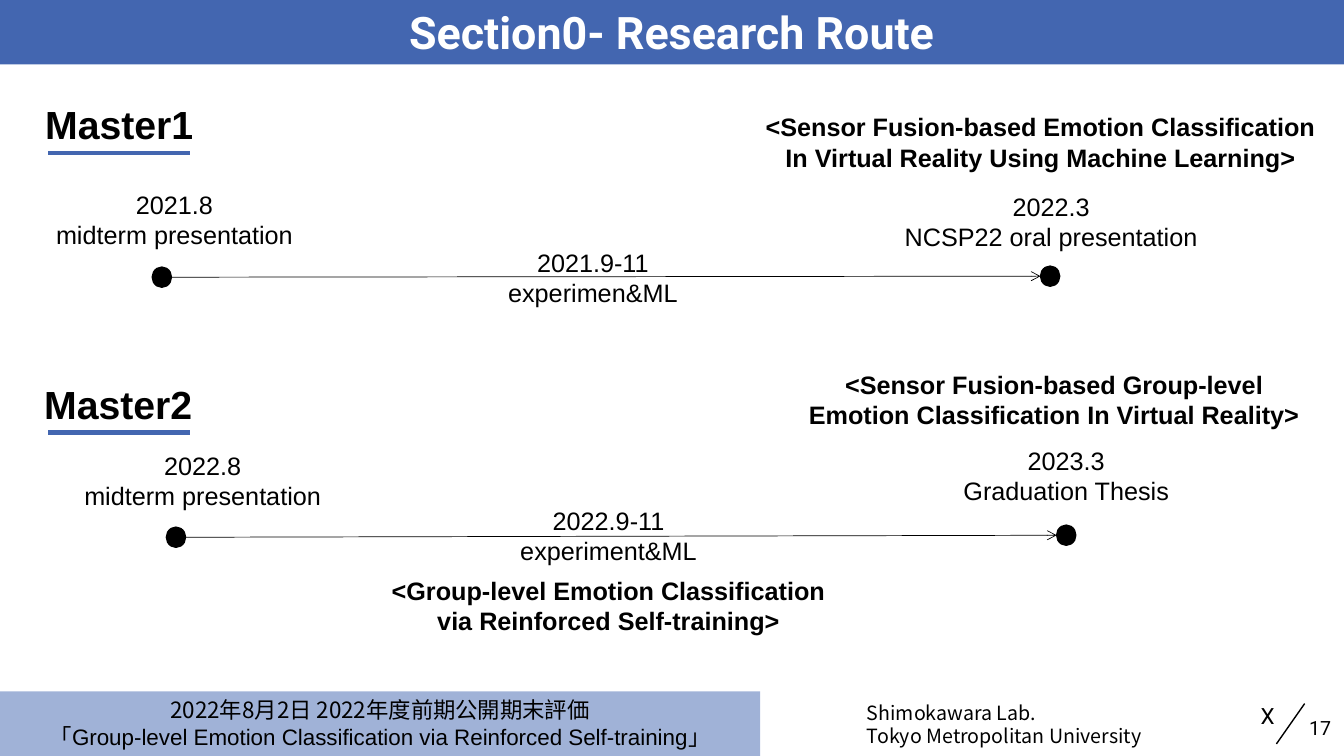
import pptx
import pptx.util
import pptx.dml.color
import pptx.enum.shapes
import pptx.enum.text
import pptx.oxml.ns
import lxml.etree

Inches = pptx.util.Inches
Shape = pptx.enum.shapes.MSO_SHAPE
Align = pptx.enum.text.PP_ALIGN
Anchor = pptx.enum.text.MSO_ANCHOR
qn = pptx.oxml.ns.qn
BLUE, BLACK, WHITE = "4366B0", "000000", "FFFFFF"
NOTO = "Noto Sans CJK JP"


def paint(color, code):
    """Set a color format from a hex string."""
    color.rgb = pptx.dml.color.RGBColor.from_string(code)


def write(frame, lines, size=18, font="Arial", color=BLACK, bold=False,
          align=Align.CENTER, anchor=Anchor.TOP, wrap=True):
    """Fill a text frame; a line is text or a pair of text and font."""
    frame.word_wrap = wrap
    frame.vertical_anchor = anchor
    for i, line in enumerate(lines):
        text, face = (line, font) if isinstance(line, str) else line
        para = frame.paragraphs[0] if i == 0 else frame.add_paragraph()
        para.alignment = align
        run = para.add_run()
        run.text = text
        run.font.size = pptx.util.Pt(size)
        run.font.bold = bold
        run.font.name = face
        paint(run.font.color, color)
        props = run.font._element
        lxml.etree.SubElement(props, qn("a:ea")).set("typeface", NOTO)


def label(slide, box, lines, **style):
    """Add a text box."""
    frame = slide.shapes.add_textbox(*map(Inches, box)).text_frame
    write(frame, lines, **style)


def block(slide, kind, box, color, alpha=None):
    """Add a filled shape without outline."""
    shape = slide.shapes.add_shape(kind, *map(Inches, box))
    shape.shadow.inherit = False
    shape.fill.solid()
    paint(shape.fill.fore_color, color)
    shape.line.fill.background()
    if alpha:
        fill = shape._element.spPr.find(qn("a:solidFill"))
        lxml.etree.SubElement(fill[0], qn("a:alpha")).set("val", str(alpha * 1000))
    return shape


def rule(slide, ends, color, width, arrow=False):
    """Add a straight line, with an arrowhead at its end if asked."""
    line = slide.shapes.add_connector(
        pptx.enum.shapes.MSO_CONNECTOR.STRAIGHT, *map(Inches, ends))
    paint(line.line.color, color)
    line.line.width = pptx.util.Pt(width)
    if arrow:
        tail = lxml.etree.SubElement(line.line._get_or_add_ln(), qn("a:tailEnd"))
        tail.set("type", "arrow")
    lxml.etree.SubElement(line._element.spPr, qn("a:effectLst"))


def dot(slide, left, top):
    """Add a milestone dot."""
    shape = block(slide, Shape.OVAL, (left, top, 0.19, 0.2), BLACK)
    paint(shape.line.color, BLACK)
    shape.line.width = pptx.util.Pt(1)


def head(slide, left, top, text):
    """Add an underlined year heading."""
    label(slide, (left, top, 3.91, 0.57), [text], size=28, bold=True,
          align=Align.LEFT)
    rule(slide, (0.48, top + 0.57, 1.88, top + 0.57), BLUE, 3)


def route(slide, start, end):
    """Add two dots joined by an arrow."""
    dot(slide, *start)
    dot(slide, *end)
    rule(slide, (start[0] + 0.19, start[1] + 0.1, end[0], end[1] + 0.1),
         BLACK, 0.5, arrow=True)


def footer(slide):
    """Add the event band, the lab name and the page number."""
    band = block(slide, Shape.RECTANGLE, (0, 6.86, 7.54, 0.64), BLUE, alpha=50)
    write(band.text_frame, [
        ("2022年8月2日 2022年度前期公開期末評価", NOTO),
        "「Group-level Emotion Classification via Reinforced Self-training」",
    ], size=16)
    label(slide, (8.5, 6.9, 3.41, 0.57),
          ["Shimokawara Lab.", "Tokyo Metropolitan University"],
          size=14, font=NOTO, align=Align.LEFT)
    rule(slide, (12.94, 6.98, 12.66, 7.38), BLACK, 1)
    label(slide, (12.86, 7.05, 0.47, 0.34), ["17"], size=14, font="Roboto")
    label(slide, (12.15, 6.9, 0.59, 0.4), ["X"], size=16, font="Roboto",
          align=Align.RIGHT, anchor=Anchor.MIDDLE)


def main():
    """Build the research route slide."""
    deck = pptx.Presentation()
    deck.slide_width, deck.slide_height = Inches(13.33), Inches(7.5)
    slide = deck.slides.add_slide(deck.slide_layouts[6])
    footer(slide)
    title = block(slide, Shape.RECTANGLE, (0, 0, 13.33, 0.64), BLUE)
    write(title.text_frame, ["Section0- Research Route"], size=32,
          font="Roboto", color=WHITE, bold=True)

    head(slide, 0.35, 0.95, "Master1")
    head(slide, 0.34, 3.72, "Master2")
    route(slide, (1.51, 2.65), (10.32, 2.64))
    route(slide, (1.65, 5.23), (10.48, 5.21))

    steps = [
        (0.34, 1.83, 2.78, "2021.8", "midterm presentation"),
        (4.49, 2.4, 2.78, "2021.9-11", "experimen&ML"),
        (8.57, 1.85, 3.71, "2022.3", "NCSP22 oral presentation"),
        (0.62, 4.42, 2.78, "2022.8", "midterm presentation"),
        (4.99, 4.96, 2.09, "2022.9-11", "experiment&ML"),
        (9.44, 4.37, 2.27, "2023.3", "Graduation Thesis"),
    ]
    for left, top, width, *lines in steps:
        label(slide, (left, top, width, 0.71), lines)

    papers = [
        (7.46, 1.06, 5.72, "<Sensor Fusion-based Emotion Classification",
         "In Virtual Reality Using Machine Learning>"),
        (7.58, 3.61, 5.75, "<Sensor Fusion-based Group-level",
         "Emotion Classification In Virtual Reality>"),
        (3.75, 5.66, 4.57, "<Group-level Emotion Classification",
         "via Reinforced Self-training>"),
    ]
    for left, top, width, *lines in papers:
        label(slide, (left, top, width, 0.71), lines, bold=True, wrap=False)
    deck.save("out.pptx")


if __name__ == "__main__":
    main()
